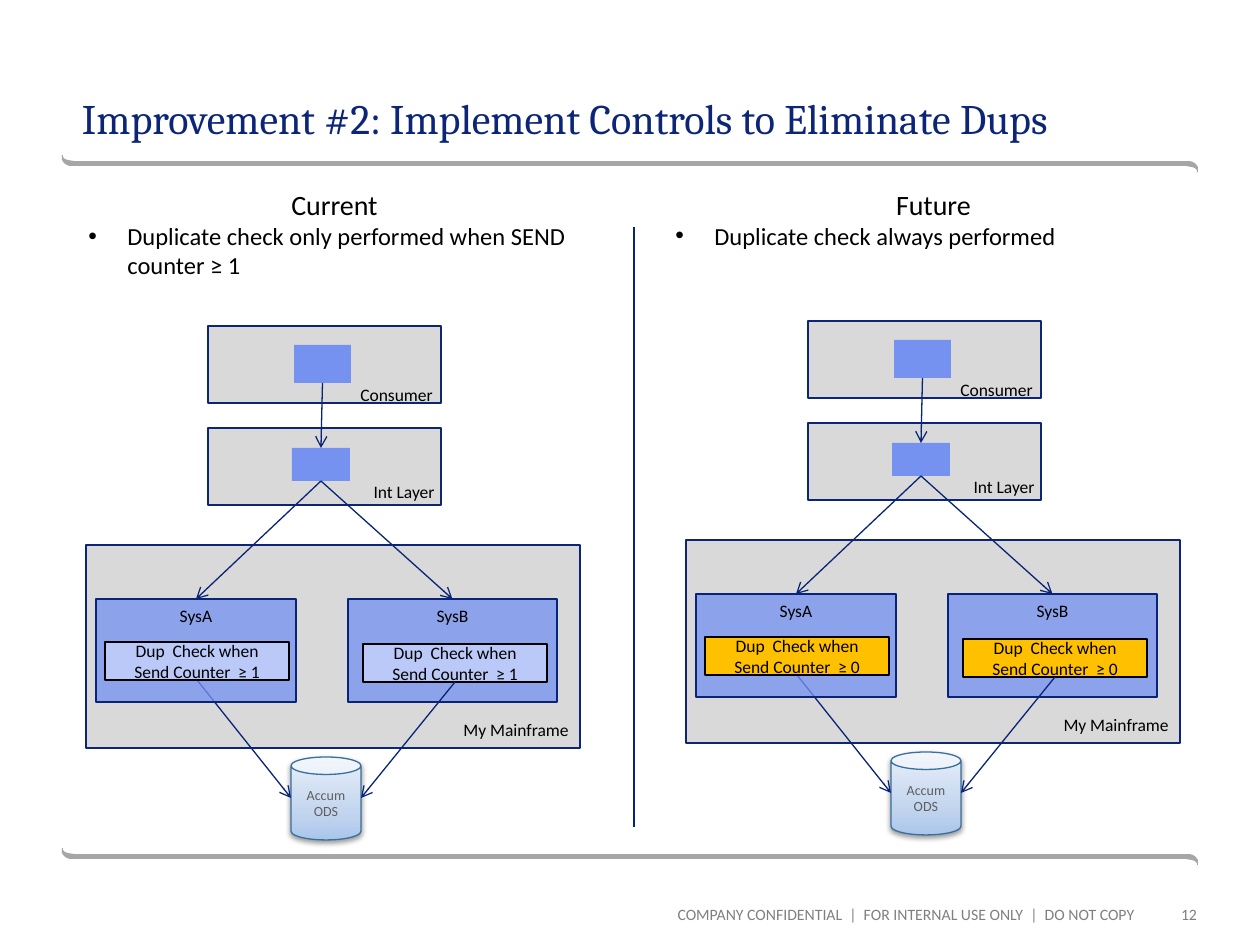
from lxml.etree import SubElement
from pptx import Presentation
from pptx.dml.color import RGBColor
from pptx.enum.shapes import MSO_CONNECTOR, MSO_SHAPE
from pptx.enum.text import MSO_ANCHOR, MSO_AUTO_SIZE, PP_ALIGN
from pptx.oxml import parse_xml
from pptx.oxml.ns import nsdecls, qn
from pptx.util import Emu, Pt

PX = 914400 / 126
NAVY = RGBColor(0x0C, 0x25, 0x77)
LINE_NAVY = RGBColor(0x09, 0x23, 0x77)
BLUE = RGBColor(0x75, 0x92, 0xF1)
PALE_BLUE = RGBColor(0xBA, 0xC9, 0xF8)
AMBER = RGBColor(0xFF, 0xC0, 0x00)
LIGHT_GRAY = RGBColor(0xD9, 0xD9, 0xD9)
BAR_GRAY = RGBColor(0xA6, 0xA6, 0xA6)
FOOTER_GRAY = RGBColor(0x80, 0x80, 0x80)
CAN_TEXT = RGBColor(0x5E, 0x5E, 0x5E)
CAN_LINE = RGBColor(0x39, 0x6F, 0x9B)
BLACK = RGBColor(0, 0, 0)

CAN_FILL = f"""<a:gradFill {nsdecls('a')} rotWithShape="1"><a:gsLst>
<a:gs pos="0"><a:srgbClr val="AAC6EA"/></a:gs>
<a:gs pos="35000"><a:srgbClr val="C4D6EF"/></a:gs>
<a:gs pos="100000"><a:srgbClr val="E8EFFA"/></a:gs>
</a:gsLst><a:lin ang="16200000" scaled="1"/></a:gradFill>"""
CAN_SHADOW = f"""<a:effectLst {nsdecls('a')}>
<a:outerShdw blurRad="39370" dist="20320" dir="5400000" rotWithShape="0">
<a:srgbClr val="000000"><a:alpha val="38000"/></a:srgbClr></a:outerShdw></a:effectLst>"""


def px(*lengths):
    return [Emu(round(length * PX)) for length in lengths]


def add_run(paragraph, text, size, color=BLACK, font="Calibri"):
    run = paragraph.add_run()
    run.text = text
    run.font.size = Pt(size)
    run.font.name = font
    run.font.color.rgb = color


def add_text(slide, box, text, size=10, color=BLACK, align=PP_ALIGN.CENTER):
    shape = slide.shapes.add_textbox(*px(*box))
    shape.text_frame.word_wrap = True
    paragraph = shape.text_frame.paragraphs[0]
    paragraph.alignment = align
    add_run(paragraph, text, size, color)
    return shape


def add_box(slide, box, fill, line=None, text=None, anchor=MSO_ANCHOR.MIDDLE):
    shape = slide.shapes.add_shape(MSO_SHAPE.RECTANGLE, *px(*box))
    shape.shadow.inherit = False
    shape.fill.solid()
    shape.fill.fore_color.rgb = fill
    if line is None:
        shape.line.fill.background()
    else:
        shape.line.color.rgb = line
        shape.line.width = Pt(1)
    if text:
        shape.text_frame.vertical_anchor = anchor
        paragraph = shape.text_frame.paragraphs[0]
        paragraph.alignment = PP_ALIGN.CENTER
        add_run(paragraph, text, 10)
    return shape


def add_system(slide, box, name):
    shape = add_box(slide, box, BLUE, LINE_NAVY, name, MSO_ANCHOR.TOP)
    color = shape.fill._xPr.find(qn("a:solidFill"))[0]
    SubElement(color, qn("a:alpha"), val="76000")
    return shape


def add_line(slide, start, end, arrow=True):
    connector = slide.shapes.add_connector(MSO_CONNECTOR.STRAIGHT, *px(*start, *end))
    connector.line.color.rgb = LINE_NAVY
    connector.line.width = Pt(0.75)
    if arrow:
        SubElement(connector.line._get_or_add_ln(), qn("a:tailEnd"), type="arrow")
    SubElement(connector._element.spPr, qn("a:effectLst"))
    return connector


def add_database(slide, box):
    can = slide.shapes.add_shape(MSO_SHAPE.CAN, *px(*box))
    can.line.color.rgb = CAN_LINE
    can.line.width = Pt(0.75)
    properties = can._element.spPr
    properties.find(qn("a:prstGeom")).addnext(parse_xml(CAN_FILL))
    properties.append(parse_xml(CAN_SHADOW))
    can.text_frame.vertical_anchor = MSO_ANCHOR.MIDDLE
    paragraph = can.text_frame.paragraphs[0]
    paragraph.alignment = PP_ALIGN.CENTER
    add_run(paragraph, "Accum", 8, CAN_TEXT)
    paragraph.add_line_break()
    add_run(paragraph, "ODS", 8, CAN_TEXT)


def add_flow(slide, left, top, check_text, check_fill):
    """Draw the consumer-to-database flow with its top left corner at left, top."""
    def at(x, y, *size):
        return (left + x, top + y, *size)

    add_box(slide, at(122, 0, 233, 77), LIGHT_GRAY, NAVY)
    consumer = add_box(slide, at(208, 19, 57, 38), BLUE)
    add_text(slide, at(253, 52, 115, 34), "Consumer")
    add_box(slide, at(122, 102, 233, 77), LIGHT_GRAY, NAVY)
    layer = add_box(slide, at(206, 122, 58, 33), BLUE)
    add_text(slide, at(272, 149, 92, 34), "Int Layer")
    add_box(slide, at(0, 219, 494, 203), LIGHT_GRAY, NAVY)
    add_text(slide, at(363, 387, 134, 34), "My Mainframe")
    system_b = add_system(slide, at(262, 273, 209, 103), "SysB")
    add_database(slide, at(205, 431, 70, 83))

    # The left arrow to the database lies under the translucent SysA box.
    a_to_database = add_line(slide, at(111, 354), at(205, 472))
    system_a = add_system(slide, at(10, 273, 200, 103), "SysA")
    check_a = add_box(slide, at(19, 316, 184, 38), check_fill, BLACK, check_text)
    check_b = add_box(slide, at(277, 318, 184, 38), check_fill, BLACK, check_text)
    a_to_database.begin_connect(check_a, 2)
    b_to_database = add_line(slide, at(369, 356), at(275, 472))
    b_to_database.begin_connect(check_b, 2)
    for source, target in ((consumer, layer), (layer, system_a), (layer, system_b)):
        connector = add_line(slide, at(0, 0), at(0, 0))
        connector.begin_connect(source, 2)
        connector.end_connect(target, 0)


def add_heading(slide, box, heading, point):
    shape = add_text(slide, box, heading, 16)
    paragraph = shape.text_frame.add_paragraph()
    add_run(paragraph, point, 14)
    indent = px(39)[0]
    properties = paragraph._p.get_or_add_pPr()
    properties.set("marL", str(indent))
    properties.set("indent", str(-indent))
    SubElement(properties, qn("a:buFont"), typeface="Arial")
    SubElement(properties, qn("a:buChar"), char="•")


def add_bar(slide, left, top):
    """Draw a gray rule whose ends curl up on the left and down on the right."""
    half = [(74, 6), (68, 5), (65, 4), (63, 2), (63, 0), (62, 0),
            (62, 5), (64, 8), (67, 10), (70, 11), (74, 11)]
    half = [(x - 62, y) for x, y in half]
    outline = half + [(1136 - x, 17 - y) for x, y in half]
    builder = slide.shapes.build_freeform(*outline[0], scale=PX)
    builder.add_line_segments(outline[1:], close=True)
    bar = builder.convert_to_shape(*px(left, top))
    bar.shadow.inherit = False
    bar.fill.solid()
    bar.fill.fore_color.rgb = BAR_GRAY
    bar.line.fill.background()


def add_title(slide, box, text):
    title = slide.shapes.title
    title.left, title.top, title.width, title.height = px(*box)
    frame = title.text_frame
    frame.auto_size = MSO_AUTO_SIZE.NONE
    frame.vertical_anchor = MSO_ANCHOR.BOTTOM
    frame.margin_left = px(19)[0]
    paragraph = frame.paragraphs[0]
    paragraph.alignment = PP_ALIGN.LEFT
    add_run(paragraph, text, 24, NAVY, "Cambria")


def add_footer(slide, box, text):
    frame = add_text(slide, box, text, 9, FOOTER_GRAY, PP_ALIGN.RIGHT).text_frame
    frame.margin_left = frame.margin_right = frame.margin_top = frame.margin_bottom = 0
    frame.vertical_anchor = MSO_ANCHOR.MIDDLE


def main():
    presentation = Presentation()
    presentation.slide_width, presentation.slide_height = px(1260, 945)
    slide = presentation.slides.add_slide(presentation.slide_layouts[5])
    for top in (155, 848):
        add_bar(slide, 62, top)
    add_title(slide, (63, 10, 1134, 139),
              "Improvement #2: Implement Controls to Eliminate Dups")
    add_footer(slide, (431, 905, 703, 19),
               "COMPANY CONFIDENTIAL  |  FOR INTERNAL USE ONLY  |  DO NOT COPY")
    add_footer(slide, (1144, 905, 53, 19), "12")
    add_heading(slide, (76, 181, 517, 106), "Current",
                "Duplicate check only performed when SEND counter ≥ 1")
    add_heading(slide, (663, 181, 541, 77), "Future",
                "Duplicate check always performed")
    add_line(slide, (634, 227), (634, 827), arrow=False)
    add_flow(slide, 86, 326, "Dup  Check when Send Counter  ≥ 1", PALE_BLUE)
    add_flow(slide, 686, 321, "Dup  Check when Send Counter  ≥ 0", AMBER)
    presentation.save("out.pptx")


if __name__ == "__main__":
    main()
